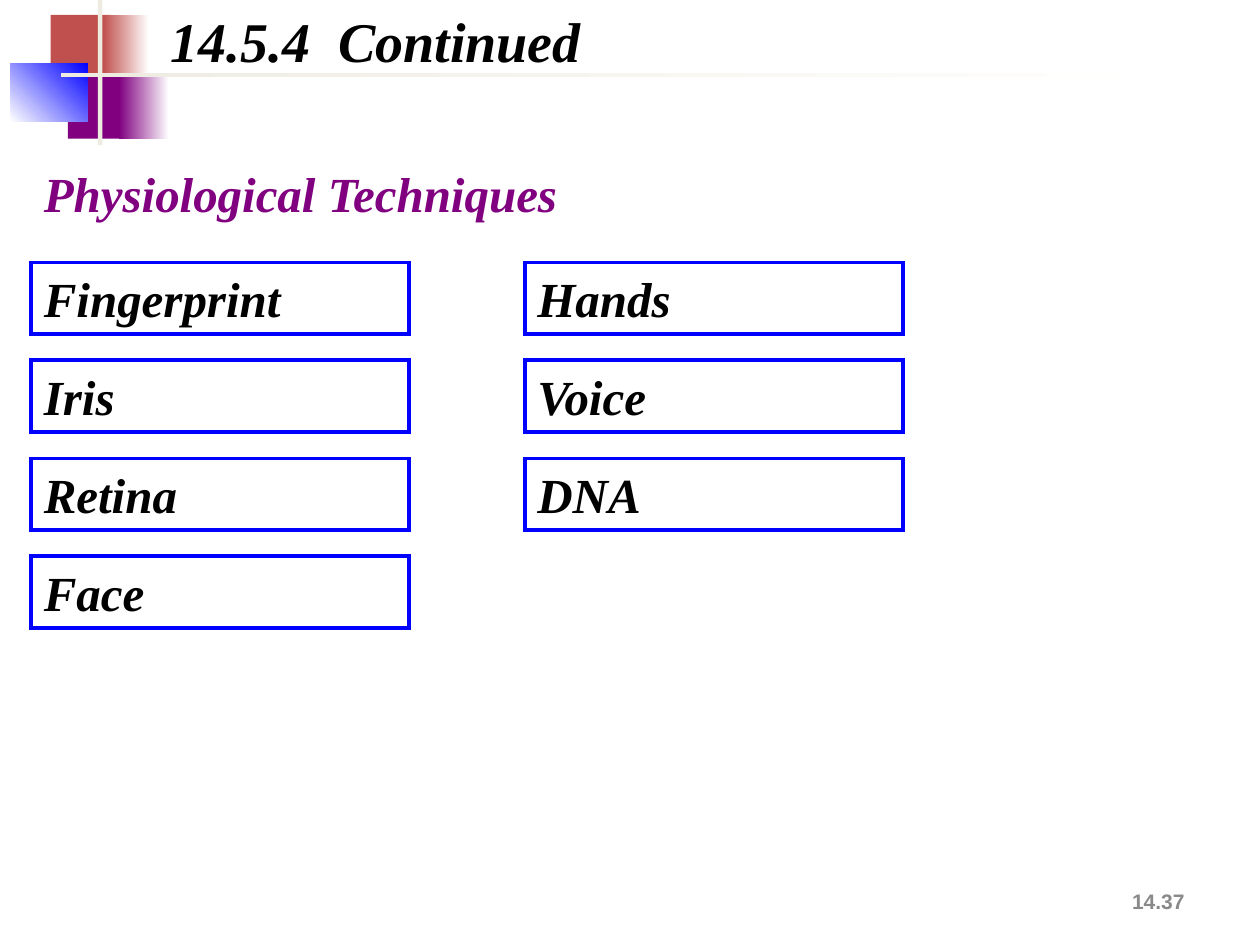
from lxml import etree
from pptx import Presentation
from pptx import util as u
from pptx.dml.color import RGBColor
from pptx.enum import shapes, text
from pptx.oxml import ns

SERIF = "Times New Roman"
RED, PURPLE, BLUE = "C0504D", "800080", "0000FF"
CREAM, WHITE, BLACK, GREY = "EEECE1", "FFFFFF", "000000", "898989"


def color(value):
    return RGBColor.from_string(value)


def place(shape, left, top, width, height):
    shape.left, shape.top = u.Pt(left), u.Pt(top)
    shape.width, shape.height = u.Pt(width), u.Pt(height)


def write(shape, words, size=28, font=SERIF, fill=BLACK, italic=True,
          align=text.PP_ALIGN.LEFT, anchor=text.MSO_ANCHOR.TOP):
    frame = shape.text_frame
    frame.auto_size = text.MSO_AUTO_SIZE.NONE
    frame.word_wrap = True
    frame.vertical_anchor = anchor
    paragraph = frame.paragraphs[0]
    paragraph.alignment = align
    run = paragraph.add_run()
    run.text = words
    run.font.name = font
    run.font.size = u.Pt(size)
    run.font.bold = True
    run.font.italic = italic
    run.font.color.rgb = color(fill)


def add_block(slide, box, fill, fade_to=None, angle=0, line=None):
    """Add a rectangle, plain or fading from one colour to another."""
    shape = slide.shapes.add_shape(shapes.MSO_SHAPE.RECTANGLE, 0, 0, 0, 0)
    place(shape, *box)
    shape.shadow.inherit = False
    if fade_to:
        shape.fill.gradient()
        shape.fill.gradient_angle = angle
        for stop, value in zip(shape.fill.gradient_stops, (fill, fade_to)):
            stop.color.rgb = color(value)
    else:
        shape.fill.solid()
        shape.fill.fore_color.rgb = color(fill)
    if line:
        shape.line.color.rgb = color(line)
        shape.line.width = u.Pt(2.25)
        # Square corners
        outline = shape.element.spPr.find(ns.qn("a:ln"))
        etree.SubElement(outline, ns.qn("a:miter"), lim="800000")
    else:
        shape.line.fill.background()
    return shape


def add_ornament(slide):
    add_block(slide, (29, 8.5, 34.5, 37.5), RED)
    add_block(slide, (59, 8.5, 26, 37.5), RED, fade_to=WHITE)
    add_block(slide, (38.75, 41.75, 33.25, 37.5), PURPLE)
    add_block(slide, (68, 41.75, 28.5, 37.5), PURPLE, fade_to=WHITE)
    add_block(slide, (5.75, 36, 44.25, 33.25), WHITE, fade_to=BLUE, angle=45)
    add_block(slide, (56, 0, 2.5, 83), CREAM)
    add_block(slide, (34.75, 41.75, 648, 2.5), CREAM, fade_to=WHITE)


def add_techniques(slide):
    columns = (("Fingerprint", "Iris", "Retina", "Face"),
               ("Hands", "Voice", "DNA"))
    for column, names in enumerate(columns):
        for row, name in enumerate(names):
            box = (18 + 282 * column, 150 + 56 * row, 216, 41)
            write(add_block(slide, box, WHITE, line=BLUE), name)


def main():
    presentation = Presentation()
    presentation.slide_width, presentation.slide_height = u.Pt(720), u.Pt(540)
    slide = presentation.slides.add_slide(presentation.slide_layouts[5])

    # Header: corner ornament and title
    add_ornament(slide)
    title = slide.shapes.title
    place(title, 90, 0, 270, 46)
    write(title, "14.5.4  Continued", size=32)

    # Subtitle and the two columns of techniques
    subtitle = add_block(slide, (18, 90, 684, 41), WHITE)
    write(subtitle, "Physiological Techniques", fill=PURPLE)
    add_techniques(slide)

    # Page number
    number = slide.shapes.add_textbox(0, 0, 0, 0)
    place(number, 516, 500.5, 168, 28.75)
    write(number, "14.37", size=12, font="Arial", fill=GREY, italic=False,
          align=text.PP_ALIGN.RIGHT, anchor=text.MSO_ANCHOR.MIDDLE)

    presentation.save("out.pptx")


if __name__ == "__main__":
    main()
